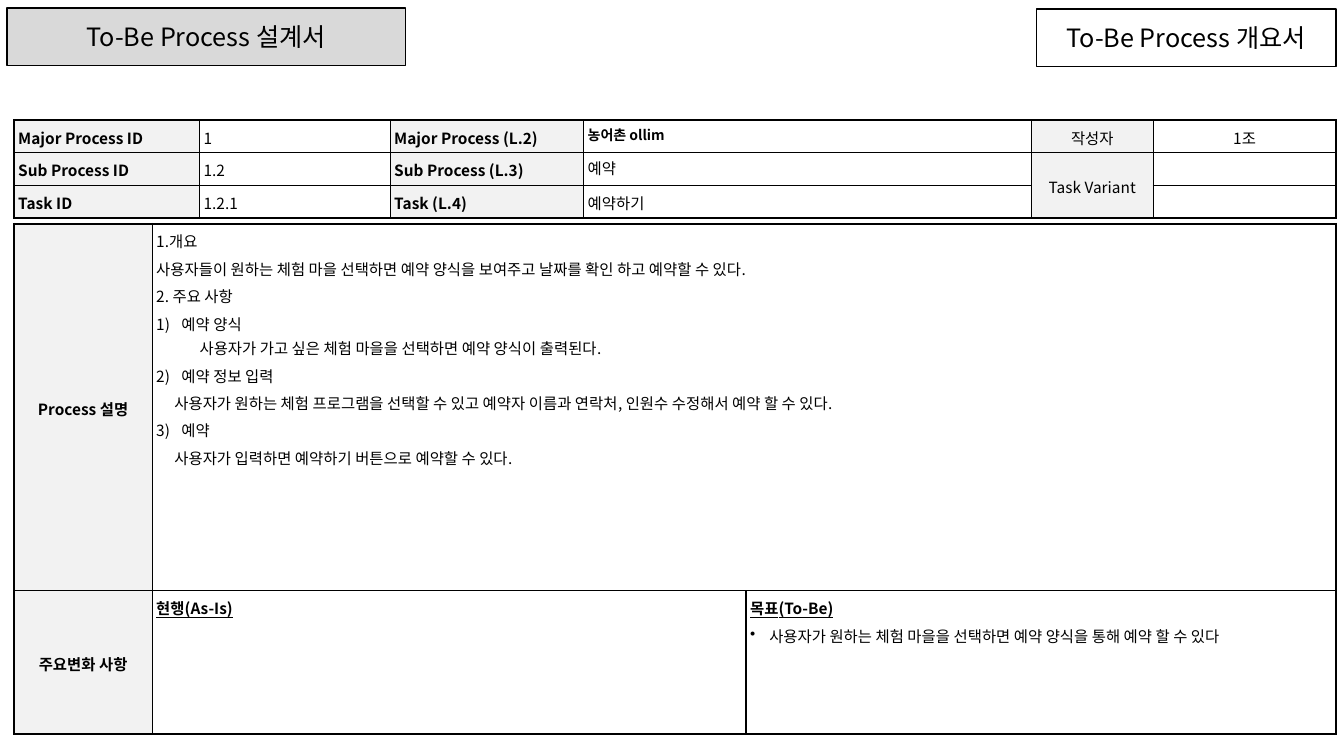
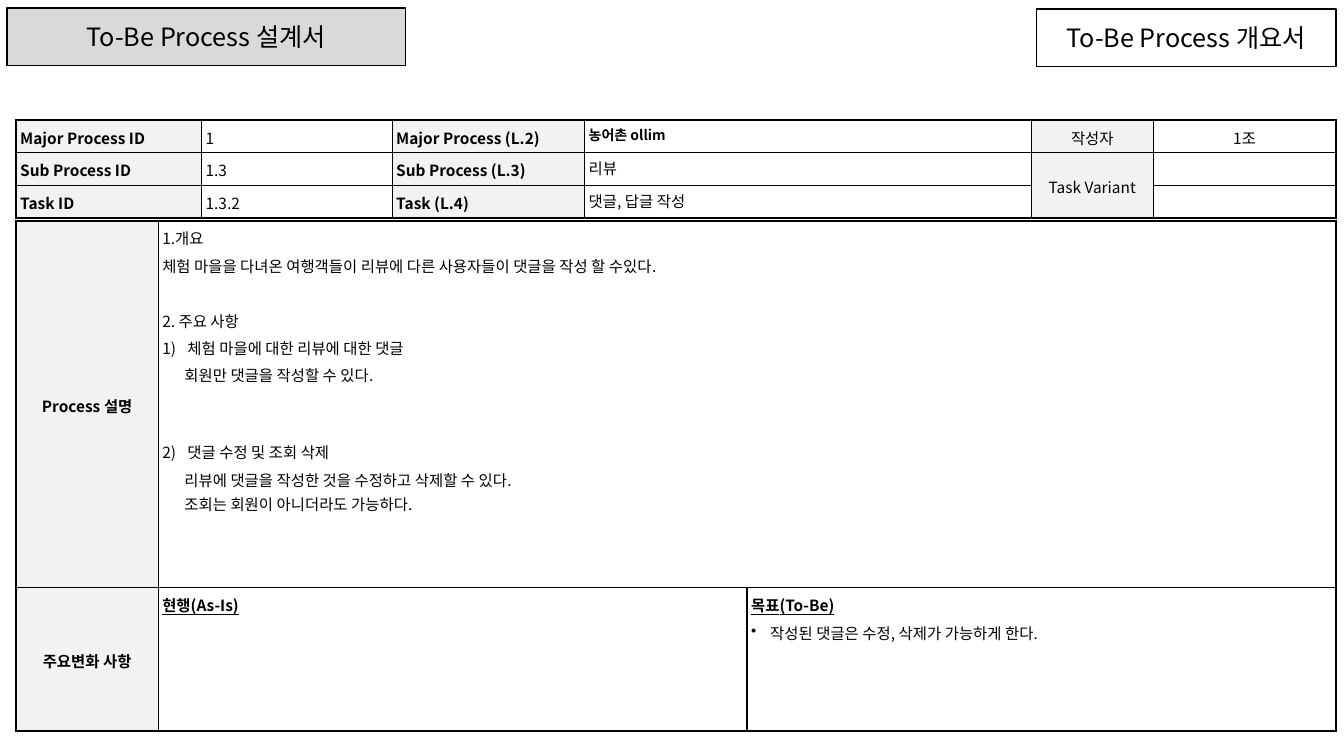
from dataclasses import dataclass
from typing import Optional

from lxml.etree import SubElement
from pptx import Presentation
from pptx.dml.color import RGBColor
from pptx.enum.shapes import MSO_SHAPE
from pptx.enum.text import MSO_ANCHOR, PP_ALIGN
from pptx.oxml.ns import qn
from pptx.slide import Slide
from pptx.table import Table, _Cell
from pptx.text.text import _Paragraph
from pptx.util import Inches, Pt


@dataclass(frozen=True)
class Theme:
    font: str = "Noto Sans CJK KR"
    ink: str = "000000"
    paper: str = "FFFFFF"
    label_fill: str = "F2F2F2"
    title_fill: str = "D9D9D9"
    title_size: float = 18
    body_size: float = 11
    project_size: float = 10
    inner_border: float = 1
    outer_border: float = 1.5
    line_spacing: float = 1.1
    cell_margin: float = 0.04


THEME = Theme()


@dataclass(frozen=True)
class Line:
    text: str
    before: float = 2
    indent: float = 0
    number: Optional[int] = None
    bullet: bool = False
    bold: bool = False
    underline: bool = False
    size: float = THEME.body_size
    spacing: float = THEME.line_spacing


@dataclass(frozen=True)
class CellText:
    lines: tuple[Line, ...] = ()
    fill: str = THEME.paper
    centred: bool = False
    middle: bool = False


@dataclass(frozen=True)
class TitleBox:
    text: str
    left: float
    top: float
    width: float
    fill: Optional[str] = None


@dataclass(frozen=True)
class ProcessSheet:
    left: float
    header_columns: tuple[float, ...]
    sub_id: str
    sub_name: str
    task_id: str
    task_name: str
    task_spacing: float
    detail_top: float
    detail_columns: tuple[float, ...]
    description: tuple[Line, ...]
    target: str


TITLES = (
    TitleBox("To-Be Process 설계서", 0.07, 0.08, 3.95, THEME.title_fill),
    TitleBox("To-Be Process 개요서", 10.28, 0.09, 2.97),
)
TITLE_HEIGHT = 0.57
HEADER_TOP = 1.19
HEADER_ROWS = (0.31, 0.31, 0.31)
DETAIL_ROWS = (3.64, 1.42)
NUMBER_HANG = 0.25
BULLET_HANG = 0.19

SHEETS = (
    ProcessSheet(
        left=0.14,
        header_columns=(1.84, 1.89, 1.92, 4.44, 1.21, 1.81),
        sub_id="1.2",
        sub_name="예약",
        task_id="1.2.1",
        task_name="예약하기",
        task_spacing=1.1,
        detail_top=2.22,
        detail_columns=(1.37, 5.89, 5.85),
        description=(
            Line("1.개요", before=0),
            Line("사용자들이 원하는 체험 마을 선택하면 예약 양식을 보여주고 날짜를 확인 하고 예약할 수 있다."),
            Line("2. 주요 사항"),
            Line("예약 양식", number=1),
            Line("사용자가 가고 싶은 체험 마을을 선택하면 예약 양식이 출력된다.", before=0, indent=0.43),
            Line("예약 정보 입력", number=2),
            Line("사용자가 원하는 체험 프로그램을 선택할 수 있고 예약자 이름과 연락처, 인원수 수정해서 예약 할 수 있다.",
                 indent=0.18),
            Line("예약", number=3),
            Line("사용자가 입력하면 예약하기 버튼으로 예약할 수 있다.", indent=0.18),
        ),
        target="사용자가 원하는 체험 마을을 선택하면 예약 양식을 통해 예약 할 수 있다",
    ),
    ProcessSheet(
        left=0.16,
        header_columns=(1.84, 1.89, 1.91, 4.43, 1.21, 1.81),
        sub_id="1.3",
        sub_name="리뷰",
        task_id="1.3.2",
        task_name="댓글, 답글 작성",
        task_spacing=1.0,
        detail_top=2.19,
        detail_columns=(1.41, 5.84, 5.84),
        description=(
            Line("1.개요", before=0),
            Line("체험 마을을 다녀온 여행객들이 리뷰에 다른 사용자들이 댓글을 작성 할 수있다."),
            Line("2. 주요 사항", before=21.5),
            Line("체험 마을에 대한 리뷰에 대한 댓글", number=1),
            Line("회원만 댓글을 작성할 수 있다.", indent=0.22),
            Line("댓글 수정 및 조회 삭제", before=37.5, number=2),
            Line("리뷰에 댓글을 작성한 것을 수정하고 삭제할 수 있다.", indent=0.22),
            Line("조회는 회원이 아니더라도 가능하다.", before=0, indent=0.22),
        ),
        target="작성된 댓글은 수정, 삭제가 가능하게 한다.",
    ),
)


def add_text(paragraph: _Paragraph, text: str, size: float,
             bold: bool = False, underline: bool = False) -> None:
    run = paragraph.add_run()
    run.text = text
    run.font.size = Pt(size)
    run.font.bold = bold
    run.font.underline = underline
    run.font.color.rgb = RGBColor.from_string(THEME.ink)
    run.font.name = THEME.font
    SubElement(run.font._element, qn("a:ea"), typeface=THEME.font)


def hang(paragraph: _Paragraph, line: Line) -> None:
    properties = paragraph._p.get_or_add_pPr()
    offset = NUMBER_HANG if line.number else BULLET_HANG if line.bullet else 0
    properties.set("marL", str(Inches(line.indent + offset)))
    properties.set("indent", str(Inches(-offset)))
    if line.number:
        SubElement(properties, qn("a:buAutoNum"), type="arabicParenR", startAt=str(line.number))
    elif line.bullet:
        SubElement(properties, qn("a:buChar"), char="•")


def set_borders(cell: _Cell, widths: dict[str, float]) -> None:
    properties = cell._tc.get_or_add_tcPr()
    for side, width in widths.items():
        border = SubElement(properties, qn(f"a:ln{side}"), w=str(Pt(width)))
        SubElement(SubElement(border, qn("a:solidFill")), qn("a:srgbClr"), val=THEME.ink)


def fill_cell(cell: _Cell, content: CellText) -> None:
    cell.fill.solid()
    cell.fill.fore_color.rgb = RGBColor.from_string(content.fill)
    margin = Inches(THEME.cell_margin)
    cell.margin_left = cell.margin_right = cell.margin_top = cell.margin_bottom = margin
    cell.vertical_anchor = MSO_ANCHOR.MIDDLE if content.middle else MSO_ANCHOR.TOP
    frame = cell.text_frame
    if not content.lines:
        SubElement(frame.paragraphs[0]._p, qn("a:endParaRPr"), sz=str(int(THEME.body_size * 100)))
    for index, line in enumerate(content.lines):
        paragraph = frame.add_paragraph() if index else frame.paragraphs[0]
        hang(paragraph, line)
        paragraph.alignment = PP_ALIGN.CENTER if content.centred else PP_ALIGN.LEFT
        paragraph.line_spacing = line.spacing
        if index:
            paragraph.space_before = Pt(line.before)
        add_text(paragraph, line.text, line.size, line.bold, line.underline)


def add_grid(slide: Slide, left: float, top: float, columns: tuple[float, ...],
             rows: tuple[float, ...], contents: tuple[tuple[CellText, ...], ...],
             merge: tuple[tuple[int, int], tuple[int, int]]) -> Table:
    grid = slide.shapes.add_table(len(rows), len(columns), Inches(left), Inches(top),
                                  Inches(sum(columns)), Inches(sum(rows))).table
    grid.first_row = grid.horz_banding = False
    for column, width in zip(grid.columns, columns):
        column.width = Inches(width)
    for row, height in zip(grid.rows, rows):
        row.height = Inches(height)
    start, end = merge
    grid.cell(*start).merge(grid.cell(*end))

    def weight(is_edge: bool) -> float:
        return THEME.outer_border if is_edge else THEME.inner_border

    for r, row_contents in enumerate(contents):
        for c, content in enumerate(row_contents):
            cell = grid.cell(r, c)
            if not cell.is_spanned:
                set_borders(cell, {
                    "L": weight(c == 0),
                    "R": weight(c + cell.span_width == len(columns)),
                    "T": weight(r == 0),
                    "B": weight(r + cell.span_height == len(rows)),
                })
            fill_cell(cell, content)
    return grid


def label(text: str) -> CellText:
    return CellText((Line(text, bold=True),), THEME.label_fill)


def value(text: str, spacing: float = THEME.line_spacing) -> CellText:
    return CellText((Line(text, spacing=spacing),))


def centred(text: str, fill: str = THEME.label_fill, bold: bool = False) -> CellText:
    return CellText((Line(text, bold=bold),), fill, centred=True, middle=True)


def add_title(slide: Slide, title: TitleBox) -> None:
    box = slide.shapes.add_shape(MSO_SHAPE.RECTANGLE, Inches(title.left), Inches(title.top),
                                 Inches(title.width), Inches(TITLE_HEIGHT))
    box.shadow.inherit = False
    if title.fill:
        box.fill.solid()
        box.fill.fore_color.rgb = RGBColor.from_string(title.fill)
    else:
        box.fill.background()
    box.line.color.rgb = RGBColor.from_string(THEME.ink)
    box.line.width = Pt(THEME.inner_border)
    box.text_frame.word_wrap = True
    box.text_frame.vertical_anchor = MSO_ANCHOR.MIDDLE
    paragraph = box.text_frame.paragraphs[0]
    paragraph.alignment = PP_ALIGN.CENTER
    add_text(paragraph, title.text, THEME.title_size)


def add_header(slide: Slide, sheet: ProcessSheet) -> None:
    project = Line("농어촌 ollim", bold=True, size=THEME.project_size, spacing=1.0)
    contents = (
        (label("Major Process ID"), value("1"), label("Major Process (L.2)"),
         CellText((project,)), centred("작성자"), centred("1조", THEME.paper)),
        (label("Sub Process ID"), value(sheet.sub_id), label("Sub Process (L.3)"),
         value(sheet.sub_name, 1.0), centred("Task Variant"), CellText()),
        (label("Task ID"), value(sheet.task_id), label("Task (L.4)"),
         value(sheet.task_name, sheet.task_spacing), CellText(), CellText()),
    )
    add_grid(slide, sheet.left, HEADER_TOP, sheet.header_columns, HEADER_ROWS,
             contents, ((1, 4), (2, 4)))


def add_detail(slide: Slide, sheet: ProcessSheet) -> None:
    as_is = Line("현행(As-Is)", bold=True, underline=True)
    to_be = Line("목표(To-Be)", bold=True, underline=True)
    contents = (
        (centred("Process 설명", bold=True), CellText(sheet.description), CellText()),
        (centred("주요변화 사항", bold=True), CellText((as_is,)),
         CellText((to_be, Line(sheet.target, before=2.2, bullet=True)))),
    )
    add_grid(slide, sheet.left, sheet.detail_top, sheet.detail_columns, DETAIL_ROWS,
             contents, ((0, 1), (0, 2)))


def main() -> None:
    deck = Presentation()
    deck.slide_width, deck.slide_height = Inches(13.33), Inches(7.5)
    for sheet in SHEETS:
        slide = deck.slides.add_slide(deck.slide_layouts[6])
        for title in TITLES:
            add_title(slide, title)
        add_header(slide, sheet)
        add_detail(slide, sheet)
    deck.save("out.pptx")


if __name__ == "__main__":
    main()
